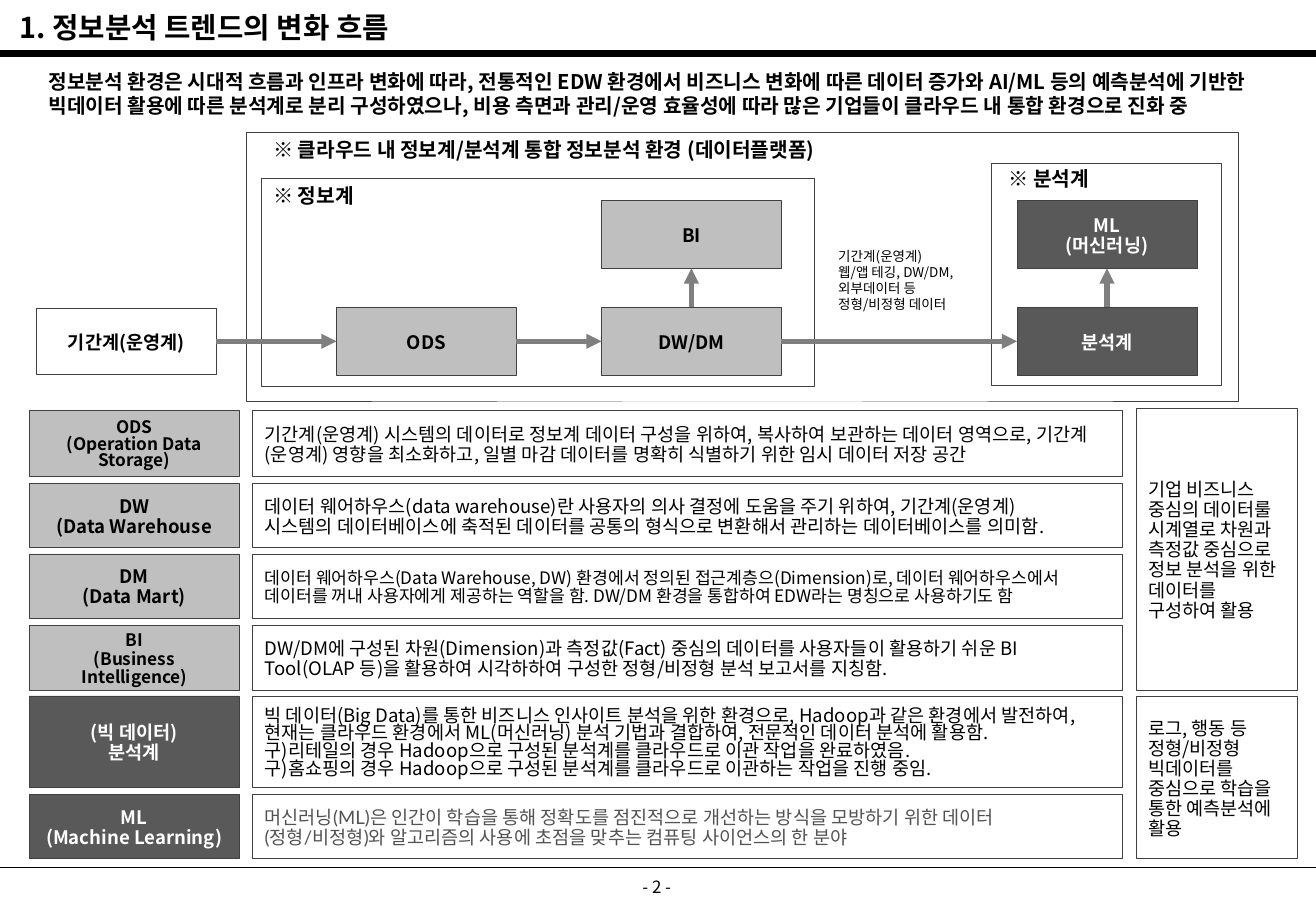
from copy import deepcopy
from dataclasses import dataclass

from pptx import Presentation
from pptx.dml.color import RGBColor
from pptx.enum.shapes import MSO_CONNECTOR, MSO_SHAPE
from pptx.enum.text import MSO_ANCHOR, MSO_AUTO_SIZE, PP_ALIGN
from pptx.oxml.ns import qn
from pptx.util import Pt

PX = 9144  # EMU in one px, 100 px to the inch
WIDTH, HEIGHT = 1083, 750
TOP, LEFT, BOTTOM, RIGHT = 0, 1, 2, 3  # connection sites


@dataclass(frozen=True)
class Theme:
    font: str = "Noto Sans CJK KR"
    latin_font: str = "Lato"
    black: str = "000000"
    white: str = "FFFFFF"
    light: str = "BFBFBF"
    dark: str = "595959"
    outline: str = "404040"
    arrow: str = "7F7F7F"
    muted: str = "525252"
    title: float = 17
    heading: float = 12
    body: float = 11
    compact: float = 10.2
    footer: float = 10
    note: float = 8


theme = Theme()


def write(shape, text, size=theme.body, color=theme.black, font=theme.font, bold=False,
          align=PP_ALIGN.LEFT, anchor=MSO_ANCHOR.TOP, spacing=1.0, inset_top=5):
    """Each line of text becomes a paragraph; a vertical tab breaks a line inside it."""
    frame = shape.text_frame
    frame.word_wrap = True
    frame.auto_size = MSO_AUTO_SIZE.NONE
    frame.vertical_anchor = anchor
    frame.margin_left = frame.margin_right = 10 * PX
    frame.margin_top, frame.margin_bottom = inset_top * PX, 5 * PX
    frame.text = text
    for paragraph in frame.paragraphs:
        paragraph.alignment = align
        paragraph.line_spacing = spacing
        paragraph.space_before = Pt(0)
        for run in paragraph.runs:
            run.font.size = Pt(size)
            run.font.bold = bold
            run.font.color.rgb = RGBColor.from_string(color)
            run.font.name = font
            properties = run._r.get_or_add_rPr()
            east_asian = properties.makeelement(qn("a:ea"), {"typeface": theme.font})
            properties.append(east_asian)
        for line_break in paragraph._p.findall(qn("a:br")):
            line_break.insert(0, deepcopy(properties))


def add_box(left, top, width, height, fill=None):
    box = slide.shapes.add_shape(MSO_SHAPE.RECTANGLE, left * PX, top * PX, width * PX, height * PX)
    box.shadow.inherit = False
    box.line.color.rgb = RGBColor.from_string(theme.outline)
    box.line.width = Pt(0.25)
    if fill:
        box.fill.solid()
        box.fill.fore_color.rgb = RGBColor.from_string(fill)
    else:
        box.fill.background()
    return box


presentation = Presentation()
presentation.slide_width = WIDTH * PX
presentation.slide_height = HEIGHT * PX
slide = presentation.slides.add_slide(presentation.slide_layouts[5])

title = slide.shapes.title
title.left, title.top, title.width, title.height = 6 * PX, 3 * PX, 1048 * PX, 59 * PX
write(title, "1. 정보분석 트렌드의 변화 흐름", size=theme.title, bold=True)

# Horizontal rules under the title and above the page number
connectors = []
for top, weight in [(44, 4.5), (714, 0.75)]:
    rule = slide.shapes.add_connector(MSO_CONNECTOR.STRAIGHT, 0, top * PX, WIDTH * PX, top * PX)
    rule.line.color.rgb = RGBColor.from_string(theme.black)
    rule.line.width = Pt(weight)
    connectors.append(rule)

# Frames of the integrated platform, the information system and the analysis system
for frame_place in [(203, 109, 816, 221), (215, 147, 455, 171), (816, 134, 189, 183)]:
    add_box(*frame_place)

texts = [
    (30, 52, 1048, 54,
     "정보분석 환경은 시대적 흐름과 인프라 변화에 따라, 전통적인 EDW 환경에서 비즈니스 변화에 따른 데이터 증가와 AI/ML 등의 예측분석에 기반한\v"
     "빅데이터 활용에 따른 분석계로 분리 구성하였으나, 비용 측면과 관리/운영 효율성에 따라 많은 기업들이 클라우드 내 통합 환경으로 진화 중",
     dict(size=theme.heading, bold=True)),
    (215, 108, 560, 30, "※ 클라우드 내 정보계/분석계 통합 정보분석 환경 (데이터플랫폼)",
     dict(size=theme.heading, bold=True)),
    (215, 146, 120, 30, "※ 정보계", dict(size=theme.heading, bold=True)),
    (820, 132, 120, 30, "※ 분석계", dict(size=theme.heading, bold=True)),
    (680, 199, 136, 64, "기간계(운영계)\n웹/앱 테깅, DW/DM, 외부데이터 등 정형/비정형 데이터",
     dict(size=theme.note)),
    (414, 717, 253, 33, "- 2 -", dict(size=theme.footer, align=PP_ALIGN.CENTER)),
]
for left, top, width, height, text, text_format in texts:
    text_box = slide.shapes.add_textbox(left * PX, top * PX, width * PX, height * PX)
    write(text_box, text, **text_format)

# Data flow
boxed = dict(anchor=MSO_ANCHOR.MIDDLE, inset_top=8)
label = dict(boxed, align=PP_ALIGN.CENTER, bold=True)
nodes = {}
for name, left, top, height, fill, text in [
    ("source", 30, 254, 54, None, "기간계(운영계)"),
    ("ods", 277, 253, 56, theme.light, "ODS"),
    ("warehouse", 495, 253, 56, theme.light, "DW/DM"),
    ("analysis", 837, 253, 56, theme.dark, "분석계"),
    ("bi", 495, 165, 56, theme.light, "BI"),
    ("ml", 837, 165, 56, theme.dark, "ML\n(머신러닝)"),
]:
    nodes[name] = add_box(left, top, 148, height, fill)
    color = theme.white if fill == theme.dark else theme.black
    write(nodes[name], text, color=color, spacing=0.9, **label)

for begin, begin_site, end, end_site in [
    ("source", RIGHT, "ods", LEFT),
    ("ods", RIGHT, "warehouse", LEFT),
    ("warehouse", RIGHT, "analysis", LEFT),
    ("warehouse", TOP, "bi", BOTTOM),
    ("analysis", TOP, "ml", BOTTOM),
]:
    arrow = slide.shapes.add_connector(MSO_CONNECTOR.STRAIGHT, 0, 0, 0, 0)
    arrow.begin_connect(nodes[begin], begin_site)
    arrow.end_connect(nodes[end], end_site)
    arrow.line.color.rgb = RGBColor.from_string(theme.arrow)
    arrow.line.width = Pt(3)
    line = arrow.line._get_or_add_ln()
    line.append(line.makeelement(qn("a:tailEnd"), {"type": "triangle"}))
    connectors.append(arrow)

for connector in connectors:
    properties = connector._element.spPr
    properties.append(properties.makeelement(qn("a:effectLst"), {}))

# Terms and their definitions
terms = [
    (338, 54, theme.light, "ODS\n(Operation Data Storage)", dict(size=theme.compact, spacing=0.8),
     "기간계(운영계) 시스템의 데이터로 정보계 데이터 구성을 위하여, 복사하여 보관하는 데이터 영역으로, "
     "기간계(운영계) 영향을 최소화하고, 일별 마감 데이터를 명확히 식별하기 위한 임시 데이터 저장 공간", {}),
    (398, 53, theme.light, "DW\n(Data Warehouse", {},
     "데이터 웨어하우스(data warehouse)란 사용자의 의사 결정에 도움을 주기 위하여, 기간계(운영계)\v"
     "시스템의 데이터베이스에 축적된 데이터를 공통의 형식으로 변환해서 관리하는 데이터베이스를 의미함.", {}),
    (456, 53, theme.light, "DM\n(Data Mart)", {},
     "데이터 웨어하우스(Data Warehouse, DW) 환경에서 정의된 접근계층으(Dimension)로, 데이터 웨어하우스에서\v"
     "데이터를 꺼내 사용자에게 제공하는 역할을 함. DW/DM 환경을 통합하여 EDW라는 명칭으로 사용하기도 함",
     dict(size=theme.compact)),
    (515, 53, theme.light, "BI\n(Business Intelligence)", dict(size=theme.compact),
     "DW/DM에 구성된 차원(Dimension)과 측정값(Fact) 중심의 데이터를 사용자들이 활용하기 쉬운 BI\v"
     "Tool(OLAP 등)을 활용하여 시각하하여 구성한 정형/비정형 분석 보고서를 지칭함.", {}),
    (573, 75, theme.dark, "(빅 데이터)\n분석계", {},
     "빅 데이터(Big Data)를 통한 비즈니스 인사이트 분석을 위한 환경으로, Hadoop과 같은 환경에서 발전하여, "
     "현재는 클라우드 환경에서 ML(머신러닝) 분석 기법과 결합하여, 전문적인 데이터 분석에 활용함.\n"
     "구)리테일의 경우 Hadoop으로 구성된 분석계를 클라우드로 이관 작업을 완료하였음.\n"
     "구)홈쇼핑의 경우 Hadoop으로 구성된 분석계를 클라우드로 이관하는 작업을 진행 중임.",
     dict(spacing=0.8)),
    (654, 53, theme.dark, "ML\n(Machine Learning)", {},
     "머신러닝(ML)은 인간이 학습을 통해 정확도를 점진적으로 개선하는 방식을 모방하기 위한 데이터\v"
     "(정형/비정형)와 알고리즘의 사용에 초점을 맞추는 컴퓨팅 사이언스의 한 분야",
     dict(font=theme.latin_font, color=theme.muted)),
]
for top, height, fill, term, term_format, definition, definition_format in terms:
    color = theme.white if fill == theme.dark else theme.black
    write(add_box(24, top, 173, height, fill), term,
          **{**label, "color": color, "spacing": 0.9, **term_format})
    write(add_box(208, top, 716, height), definition,
          **{**boxed, "spacing": 0.9, **definition_format})

# Use of each group of terms
for top, height, text in [
    (336, 232, "기업 비즈니스 중심의 데이터룰 시계열로 차원과 측정값 중심으로 정보 분석을 위한 데이터를 구성하여 활용"),
    (573, 134, "로그, 행동 등 정형/비정형 빅데이터를 중심으로 학습을 통한 예측분석에 활용"),
]:
    write(add_box(935, top, 133, height), text, spacing=0.9, **boxed)

presentation.save("out.pptx")
